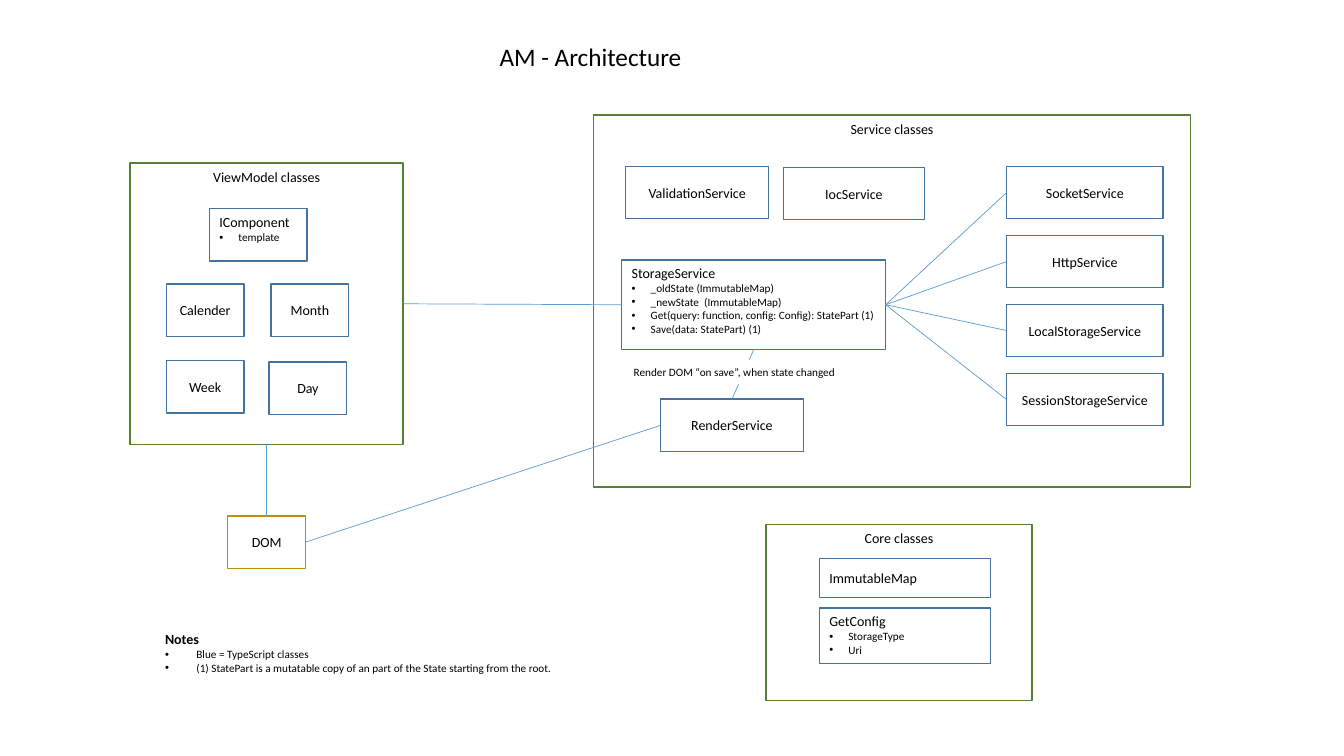
from lxml import etree
from pptx import Presentation
from pptx.dml.color import RGBColor
from pptx.enum.shapes import MSO_CONNECTOR, MSO_SHAPE
from pptx.enum.text import MSO_ANCHOR, MSO_AUTO_SIZE, PP_ALIGN
from pptx.oxml.ns import qn
from pptx.util import Cm, Pt

RECTANGLE = MSO_SHAPE.RECTANGLE
STRAIGHT = MSO_CONNECTOR.STRAIGHT
TOP, MIDDLE = MSO_ANCHOR.TOP, MSO_ANCHOR.MIDDLE
LEFT, CENTER = PP_ALIGN.LEFT, PP_ALIGN.CENTER
FIT = MSO_AUTO_SIZE.SHAPE_TO_FIT_TEXT
TOP_SIDE, LEFT_SIDE, BOTTOM_SIDE, RIGHT_SIDE = range(4)
COLORS = {
    "text": "000000", "class": "43739E", "group": "548235",
    "dom": "BF9000", "link": "5B9BD5", "label": "FFFFFF",
}

presentation = Presentation()
presentation.slide_width, presentation.slide_height = Cm(33.87), Cm(19.05)
slide = presentation.slides.add_slide(presentation.slide_layouts[6])


def write_text(shape, lines, size=10, align=LEFT, anchor=TOP, indent=0.48):
    frame = shape.text_frame
    frame.text = "\n".join(lines)
    frame.word_wrap = True
    frame.vertical_anchor = anchor
    for index, paragraph in enumerate(frame.paragraphs):
        paragraph.alignment = align
        font = paragraph.runs[0].font
        font.name = "Calibri"
        font.size = Pt(8 if index else size)
        font.color.rgb = RGBColor.from_string(COLORS["text"])
        if index:
            properties = paragraph._p.get_or_add_pPr()
            properties.set("marL", str(Cm(indent)))
            properties.set("indent", str(-Cm(indent)))
            etree.SubElement(properties, qn("a:buFont"), typeface="Arial")
            etree.SubElement(properties, qn("a:buChar"), char="•")


def add_box(box, lines, line="class", align=CENTER, anchor=MIDDLE):
    shape = slide.shapes.add_shape(RECTANGLE, *map(Cm, box))
    shape.shadow.inherit = False
    shape.fill.background()
    shape.line.color.rgb = RGBColor.from_string(COLORS[line])
    shape.line.width = Pt(1)
    write_text(shape, lines, align=align, anchor=anchor)
    return shape


title = slide.shapes.add_textbox(Cm(12.34), Cm(0.91), Cm(5.16), Cm(1.02))
write_text(title, ["AM - Architecture"], size=18)
title.text_frame.word_wrap = False
title.text_frame.auto_size = FIT

notes = slide.shapes.add_textbox(Cm(3.91), Cm(15.77), Cm(12.34), Cm(1.37))
write_text(notes, [
    "Notes",
    "Blue = TypeScript classes",
    "(1) StatePart is a mutatable copy of an part of the State starting from the root.",
], indent=0.79)
notes.text_frame.auto_size = FIT
notes.text_frame.paragraphs[0].runs[0].font.bold = True

boxes = {}
for name, box in [
    ("ViewModel classes", (3.28, 4.11, 6.88, 7.09)),
    ("Service classes", (14.96, 2.9, 15.04, 9.37)),
    ("Core classes", (19.3, 13.21, 6.71, 4.45)),
]:
    boxes[name] = add_box(box, [name], line="group", anchor=TOP)

box_height = 1.32
for name, left, top, width in [
    ("Calender", 4.19, 7.16, 1.96),
    ("Month", 6.83, 7.16, 1.96),
    ("Week", 4.19, 9.09, 1.96),
    ("Day", 6.78, 9.12, 1.96),
    ("ValidationService", 15.77, 4.19, 3.6),
    ("IocService", 19.74, 4.22, 3.56),
    ("RenderService", 16.64, 10.06, 3.61),
]:
    boxes[name] = add_box((left, top, width, box_height), [name])
boxes["DOM"] = add_box((5.74, 13, 1.96, box_height), ["DOM"], line="dom")

backends = ["SocketService", "HttpService", "LocalStorageService", "SessionStorageService"]
for row, name in enumerate(backends):
    boxes[name] = add_box((25.37, 4.19 + row * 1.74, 3.94, box_height), [name])

add_box((20.65, 14.07, 4.32, 0.99), ["ImmutableMap"], align=LEFT)
for box, lines in [
    ((5.28, 5.26, 2.46, box_height), ["IComponent", "template"]),
    ((20.65, 15.32, 4.32, 1.4), ["GetConfig", "StorageType", "Uri"]),
    ((15.67, 6.55, 6.65, 2.26), [
        "StorageService",
        "_oldState (ImmutableMap)",
        "_newState  (ImmutableMap)",
        "Get(query: function, config: Config): StatePart (1)",
        "Save(data: StatePart) (1)",
    ]),
]:
    boxes[lines[0]] = add_box(box, lines, align=LEFT, anchor=TOP)

links = [
    ("ViewModel classes", BOTTOM_SIDE, "DOM", TOP_SIDE),
    ("ViewModel classes", RIGHT_SIDE, "StorageService", LEFT_SIDE),
    ("StorageService", BOTTOM_SIDE, "RenderService", TOP_SIDE),
    ("RenderService", LEFT_SIDE, "DOM", RIGHT_SIDE),
]
links += [("StorageService", RIGHT_SIDE, name, LEFT_SIDE) for name in backends]
for source, source_side, target, target_side in links:
    connector = slide.shapes.add_connector(STRAIGHT, 0, 0, 0, 0)
    connector.begin_connect(boxes[source], source_side)
    connector.end_connect(boxes[target], target_side)
    connector.line.color.rgb = RGBColor.from_string(COLORS["link"])
    connector.line.width = Pt(0.5)
    etree.SubElement(connector._element.spPr, qn("a:effectLst"))

label = slide.shapes.add_shape(RECTANGLE, Cm(15.72), Cm(9.07), Cm(5.77), Cm(0.61))
label.shadow.inherit = False
label.fill.solid()
label.fill.fore_color.rgb = RGBColor.from_string(COLORS["label"])
label.line.fill.background()
write_text(label, ["Render DOM “on save”, when state changed"], size=8)
label.text_frame.word_wrap = False
label.text_frame.auto_size = FIT

presentation.save("out.pptx")
